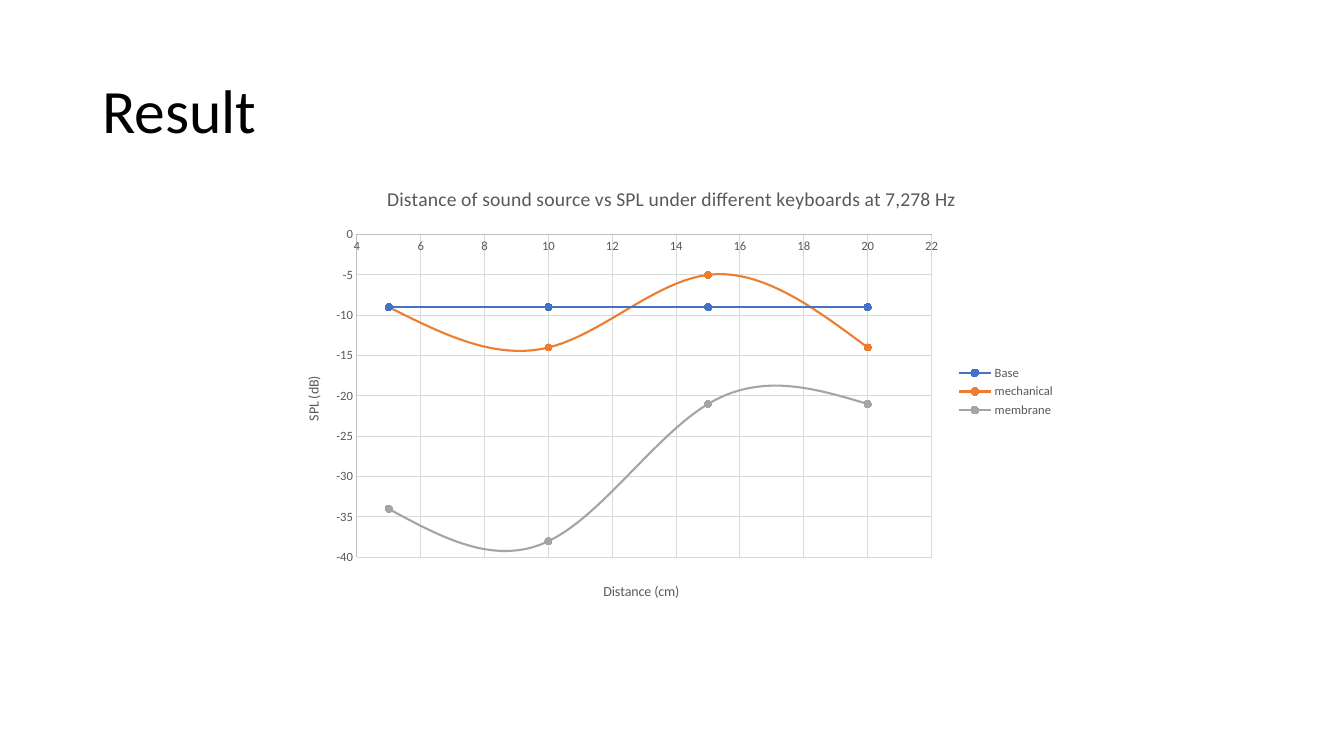
import dataclasses

import pptx
import pptx.chart.data
import pptx.dml.color
import pptx.enum.chart
import pptx.enum.text
import pptx.oxml
import pptx.oxml.ns
import pptx.util

Pt = pptx.util.Pt
qn = pptx.oxml.ns.qn


@dataclasses.dataclass(frozen=True)
class Theme:
    font: str = "Calibri"
    title_color: str = "000000"
    text_color: str = "595959"
    axis_color: str = "BFBFBF"
    grid_color: str = "D9D9D9"
    series_colors: tuple = ("4472C4", "ED7D31", "A5A5A5")
    title_size: float = 44
    chart_title_size: float = 14
    axis_title_size: float = 10
    label_size: float = 9
    thin_line: float = 0.75
    series_line: float = 1.5
    marker_size: int = 5


DISTANCES = (5, 10, 15, 20)
LEVELS = {
    "Base": (-9, -9, -9, -9),
    "mechanical": (-9, -14, -5, -14),
    "membrane": (-34, -38, -21, -21),
}


def set_format(target, values):
    for name, value in values.items():
        setattr(target, name, value)


def rgb(color):
    return pptx.dml.color.RGBColor.from_string(color)


def manual_layout(inner=False, **fractions):
    """Return a c:layout element placed by fractions of the chart area."""
    values = {"layoutTarget": "inner"} if inner else {}
    values |= {"xMode": "edge", "yMode": "edge"} | fractions
    parts = "".join(f'<c:{name} val="{value}"/>' for name, value in values.items())
    return pptx.oxml.parse_xml(
        f"<c:layout {pptx.oxml.ns.nsdecls('c')}>"
        f"<c:manualLayout>{parts}</c:manualLayout></c:layout>"
    )


def drop_layout(element):
    for layout in element.findall(qn("c:layout")):
        element.remove(layout)


class SlideBuilder:
    def __init__(self, presentation, theme):
        self.theme = theme
        self.slide = presentation.slides.add_slide(presentation.slide_layouts[5])

    def style_font(self, font, size, color):
        set_format(font, {"name": self.theme.font, "size": Pt(size), "bold": False})
        font.color.rgb = rgb(color)

    def style_line(self, line, color, width):
        line.color.rgb = rgb(color)
        line.width = Pt(width)

    def title(self, text, left, top, width, height):
        shape = self.slide.shapes.title
        box = {"left": left, "top": top, "width": width, "height": height}
        set_format(shape, {name: Pt(value) for name, value in box.items()})
        frame = shape.text_frame
        frame.text = text
        set_format(frame, {
            "word_wrap": True,
            "vertical_anchor": pptx.enum.text.MSO_ANCHOR.MIDDLE,
        })
        paragraph = frame.paragraphs[0]
        set_format(paragraph, {
            "alignment": pptx.enum.text.PP_ALIGN.LEFT,
            "line_spacing": 0.9,
        })
        self.style_font(paragraph.runs[0].font, self.theme.title_size,
                        self.theme.title_color)

    def chart_text(self, title, text, size):
        title.text_frame.text = text
        run = title.text_frame.paragraphs[0].runs[0]
        self.style_font(run.font, size, self.theme.text_color)

    def axis(self, axis, text, scale, title_at):
        theme = self.theme
        minimum, maximum, step = scale
        set_format(axis, {
            "minimum_scale": minimum,
            "maximum_scale": maximum,
            "major_unit": step,
            "has_major_gridlines": True,
            "major_tick_mark": pptx.enum.chart.XL_TICK_MARK.NONE,
            "minor_tick_mark": pptx.enum.chart.XL_TICK_MARK.NONE,
            "tick_label_position": pptx.enum.chart.XL_TICK_LABEL_POSITION.NEXT_TO_AXIS,
        })
        self.style_font(axis.tick_labels.font, theme.label_size, theme.text_color)
        self.style_line(axis.format.line, theme.axis_color, theme.thin_line)
        self.style_line(axis.major_gridlines.format.line, theme.grid_color,
                        theme.thin_line)
        self.chart_text(axis.axis_title, text, theme.axis_title_size)
        element = axis.axis_title._element
        drop_layout(element)
        x, y = title_at
        element.find(qn("c:tx")).addnext(manual_layout(x=x, y=y))

    def scatter_chart(self, text, distances, levels, left, top, width, height):
        theme = self.theme
        data = pptx.chart.data.XyChartData()
        for name, values in levels.items():
            series = data.add_series(name)
            for point in zip(distances, values):
                series.add_data_point(*point)
        chart = self.slide.shapes.add_chart(
            pptx.enum.chart.XL_CHART_TYPE.XY_SCATTER_SMOOTH,
            Pt(left), Pt(top), Pt(width), Pt(height), data,
        ).chart
        self.style_font(chart.font, theme.axis_title_size, theme.text_color)
        set_format(chart, {"has_title": True, "has_legend": True})
        self.chart_text(chart.chart_title, text, theme.chart_title_size)
        set_format(chart.legend, {
            "position": pptx.enum.chart.XL_LEGEND_POSITION.RIGHT,
            "include_in_layout": False,
        })
        self.style_font(chart.legend.font, theme.label_size, theme.text_color)
        self.axis(chart.category_axis, "Distance (cm)", (4, 22, 2), (0.41, 0.92))
        self.axis(chart.value_axis, "SPL (dB)", (-40, 0, 5), (0.03, 0.46))

        plot = chart.plots[0]
        plot.vary_by_categories = False
        for series, color in zip(plot.series, theme.series_colors):
            self.style_line(series.format.line, color, theme.series_line)
            set_format(series.marker, {
                "style": pptx.enum.chart.XL_MARKER_STYLE.CIRCLE,
                "size": theme.marker_size,
            })
            series.marker.format.fill.solid()
            series.marker.format.fill.fore_color.rgb = rgb(color)
            self.style_line(series.marker.format.line, color, theme.thin_line)
            smooth = series._element.get_or_add_smooth()
            smooth.val = True

        plot_area = chart._chartSpace.chart.plotArea
        drop_layout(plot_area)
        plot_area.insert(0, manual_layout(inner=True, x=0.1, y=0.15, w=0.73, h=0.72))


def main():
    presentation = pptx.Presentation()
    set_format(presentation, {"slide_width": Pt(960), "slide_height": Pt(540)})
    builder = SlideBuilder(presentation, Theme())
    builder.title("Result", 66, 28.75, 828, 104.4)
    builder.scatter_chart(
        "Distance of sound source vs SPL under different keyboards at 7,278 Hz",
        DISTANCES, LEVELS, 198.7, 119.5, 562.3, 320.4,
    )
    presentation.save("out.pptx")


if __name__ == "__main__":
    main()
